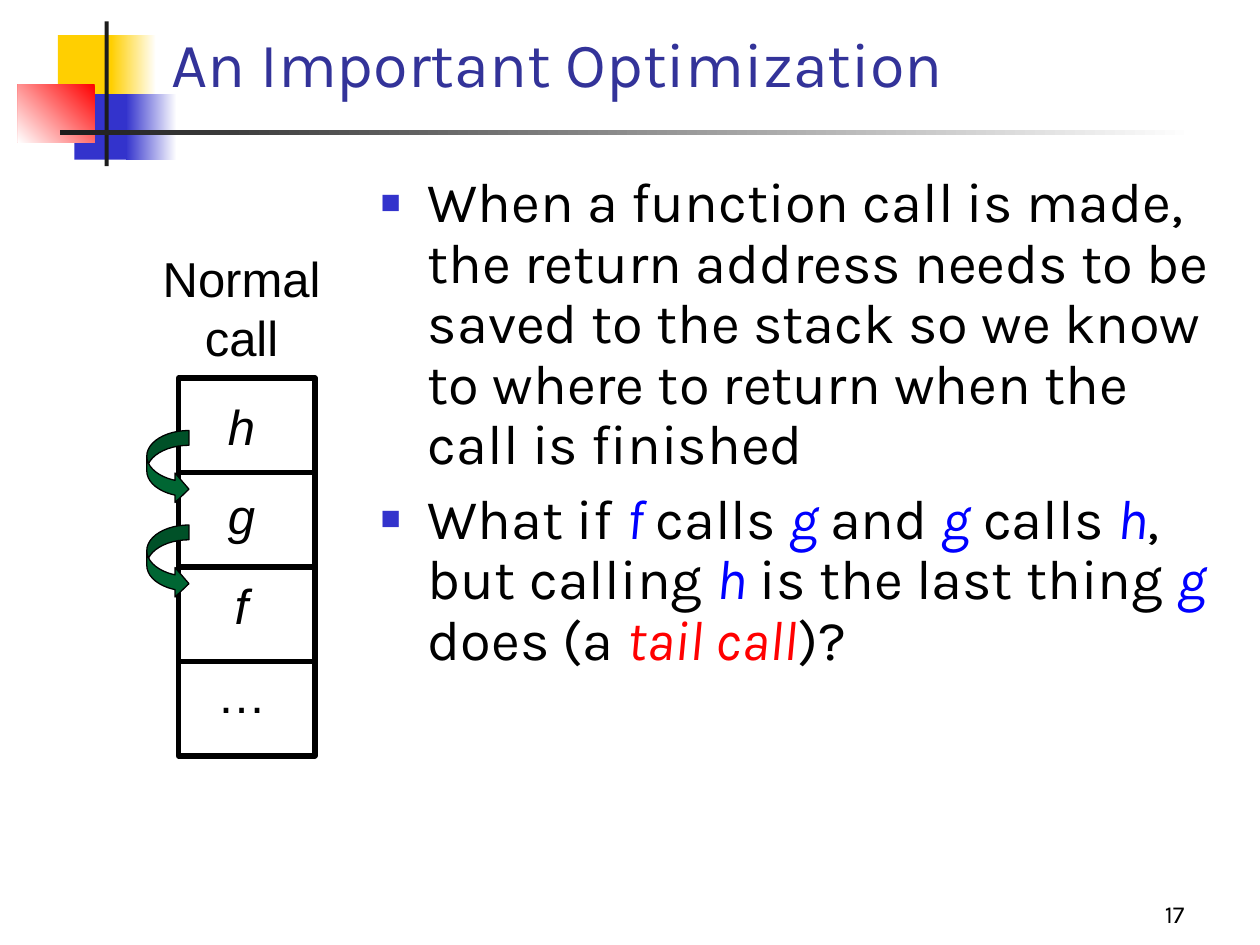
from lxml import etree
from pptx import Presentation
from pptx.dml.color import RGBColor
from pptx.enum.shapes import MSO_CONNECTOR, MSO_SHAPE
from pptx.enum.text import MSO_ANCHOR, MSO_AUTO_SIZE, PP_ALIGN
from pptx.oxml.ns import qn
from pptx.util import Cm, Pt

RECT = MSO_SHAPE.RECTANGLE
CURVE = MSO_SHAPE.CURVED_RIGHT_ARROW
LINE = MSO_CONNECTOR.STRAIGHT
TOP, BOTTOM = MSO_ANCHOR.TOP, MSO_ANCHOR.BOTTOM
LEFT, CENTER, RIGHT = PP_ALIGN.LEFT, PP_ALIGN.CENTER, PP_ALIGN.RIGHT
FIXED = MSO_AUTO_SIZE.NONE

BLACK, WHITE, BLUE, RED = "000000", "FFFFFF", "0000FF", "FF0000"
NAVY, DARK, GOLD = "3333CC", "1C1C1C", "FFCF01"


def color(code):
    """Turn a hex string into a colour."""
    return RGBColor.from_string(code)


def place(shape, box):
    """Move a shape to a box given in centimetres."""
    shape.left, shape.top, shape.width, shape.height = map(Cm, box)


def add_run(para, text, size, font="Karla", code=BLACK, slant=False):
    """Add one formatted run to a paragraph."""
    run = para.add_run()
    run.text = text
    run.font.size = Pt(size)
    run.font.name = font
    run.font.italic = slant
    run.font.color.rgb = color(code)


def set_frame(shape, anchor):
    """Wrap a shape's text at a fixed size and return its frame."""
    frame = shape.text_frame
    frame.word_wrap = True
    frame.auto_size = FIXED
    frame.vertical_anchor = anchor
    return frame


def add_form(slide, kind, box, fill=None, line=None, width=1):
    """Add a preset shape with a plain fill and outline."""
    shape = slide.shapes.add_shape(kind, *map(Cm, box))
    shape.shadow.inherit = False
    if fill:
        shape.fill.solid()
        shape.fill.fore_color.rgb = color(fill)
    else:
        shape.fill.background()
    if line:
        shape.line.color.rgb = color(line)
        shape.line.width = Pt(width)
    else:
        shape.line.fill.background()
    return shape


def add_fade(slide, box, start, end, angle=180):
    """Add a rectangle that fades between two colours."""
    fill = add_form(slide, RECT, box).fill
    fill.gradient()
    fill.gradient_angle = angle
    for stop, code in zip(fill.gradient_stops, (start, end)):
        stop.color.rgb = color(code)


def add_motif(slide, x, y):
    """Draw the coloured blocks and rules of the heading."""
    add_form(slide, RECT, (x + 0.81, y + 0.28, 1.22, 1.32), GOLD)
    add_fade(slide, (x + 1.88, y + 0.28, 0.91, 1.32), WHITE, GOLD)
    add_form(slide, RECT, (x + 1.14, y + 1.47, 1.17, 1.32), NAVY)
    add_fade(slide, (x + 2.18, y + 1.47, 1.02, 1.32), WHITE, NAVY)
    add_fade(slide, (x, y + 1.27, 1.55, 1.17), RED, WHITE, 225)
    add_form(slide, RECT, (x + 1.75, y, 0.08, 2.92), DARK)
    add_fade(slide, (x + 0.86, y + 2.19, 22.86, 0.1), WHITE, DARK)


def add_title(slide, box, text):
    """Fill the title placeholder."""
    title = slide.shapes.title
    place(title, box)
    para = set_frame(title, BOTTOM).paragraphs[0]
    para.alignment = LEFT
    add_run(para, text, 36, code="333399")


def set_bullet(para):
    """Give a paragraph a small square bullet and a hanging indent."""
    props = para._p.get_or_add_pPr()
    props.set("marL", str(Cm(0.95)))
    props.set("indent", str(-Cm(0.95)))
    tint = etree.SubElement(props, qn("a:buClr"))
    etree.SubElement(tint, qn("a:srgbClr")).set("val", NAVY)
    etree.SubElement(props, qn("a:buSzPct")).set("val", "60000")
    etree.SubElement(props, qn("a:buFont")).set("typeface", "Arial")
    etree.SubElement(props, qn("a:buChar")).set("char", "■")


def add_list(slide, box, items):
    """Fill the body placeholder with bulleted runs."""
    body = slide.placeholders[1]
    place(body, box)
    frame = set_frame(body, TOP)
    for i, runs in enumerate(items):
        para = frame.add_paragraph() if i else frame.paragraphs[0]
        para.line_spacing = 0.9
        para.space_before = Pt(8)
        set_bullet(para)
        for text, code in runs:
            add_run(para, text, 32, code=code, slant=code != BLACK)


def add_rule(slide, frame, x, y, wide, middle):
    """Draw a divider, joined to the frame when it is the middle one."""
    rule = slide.shapes.add_connector(LINE, Cm(x), Cm(y), Cm(x + wide), Cm(y))
    rule.line.color.rgb = color(BLACK)
    rule.line.width = Pt(3)
    etree.SubElement(rule._element.spPr, qn("a:effectLst"))
    if middle:
        rule.begin_connect(frame, 1)
        rule.end_connect(frame, 3)


def add_stack(slide, box, head, cells):
    """Draw the call stack with its labels, dividers and return arrows."""
    x, y, wide, high = box
    row = high / len(cells)
    label = slide.shapes.add_textbox(
        Cm(x - 1.27), Cm(y - 2.74), Cm(5.08), Cm(9.86))
    text = set_frame(label, TOP)
    for i, word in enumerate([head] + cells):
        para = text.add_paragraph() if i else text.paragraphs[0]
        para.alignment = CENTER
        para.space_before = Pt(17.5)
        add_run(para, word, 28, "Arial", slant=word in "fgh")
    frame = add_form(slide, RECT, box, line=BLACK, width=3)
    for i in range(1, len(cells)):
        add_rule(slide, frame, x, y + i * row, wide, 2 * i == len(cells))
    for i in range(2):
        spot = (x - 0.64, y + 1.06 + i * row, 0.85, 1.48)
        arrow = add_form(slide, CURVE, spot, "006633", BLACK, 0.75)
        arrow.adjustments[0] = 0.35
        arrow.adjustments[1] = 0.7
        arrow.adjustments[2] = 0.33


def add_number(slide, box, text):
    """Write the page number at the lower right."""
    label = slide.shapes.add_textbox(*map(Cm, box))
    para = set_frame(label, BOTTOM).paragraphs[0]
    para.alignment = RIGHT
    add_run(para, text, 14)


def main():
    """Build the slide and save it."""
    deck = Presentation()
    deck.slide_width, deck.slide_height = Cm(25.4), Cm(19.05)
    slide = deck.slides.add_slide(deck.slide_layouts[1])
    add_motif(slide, 0.36, 0.43)
    add_number(slide, (18.85, 17.58, 5.28, 1.27), "17")
    add_stack(slide, (3.6, 7.62, 2.75, 7.62), "Normal call",
              ["h", "g", "f", "…"])
    add_title(slide, (3.2, 0.46, 21.64, 1.68), "An Important Optimization")
    add_list(slide, (7.42, 3.39, 17.25, 13.64), [
        [("When a function call is made, the return address needs to be "
          "saved to the stack so we know to where to return when the call "
          "is finished", BLACK)],
        [("What if ", BLACK), ("f ", BLUE), ("calls ", BLACK),
         ("g ", BLUE), ("and ", BLACK), ("g", BLUE), (" calls ", BLACK),
         ("h", BLUE), (", but calling ", BLACK), ("h", BLUE),
         (" is the last thing ", BLACK), ("g", BLUE), (" does (a ", BLACK),
         ("tail call", RED), (")?", BLACK)],
    ])
    deck.save("out.pptx")


if __name__ == "__main__":
    main()
